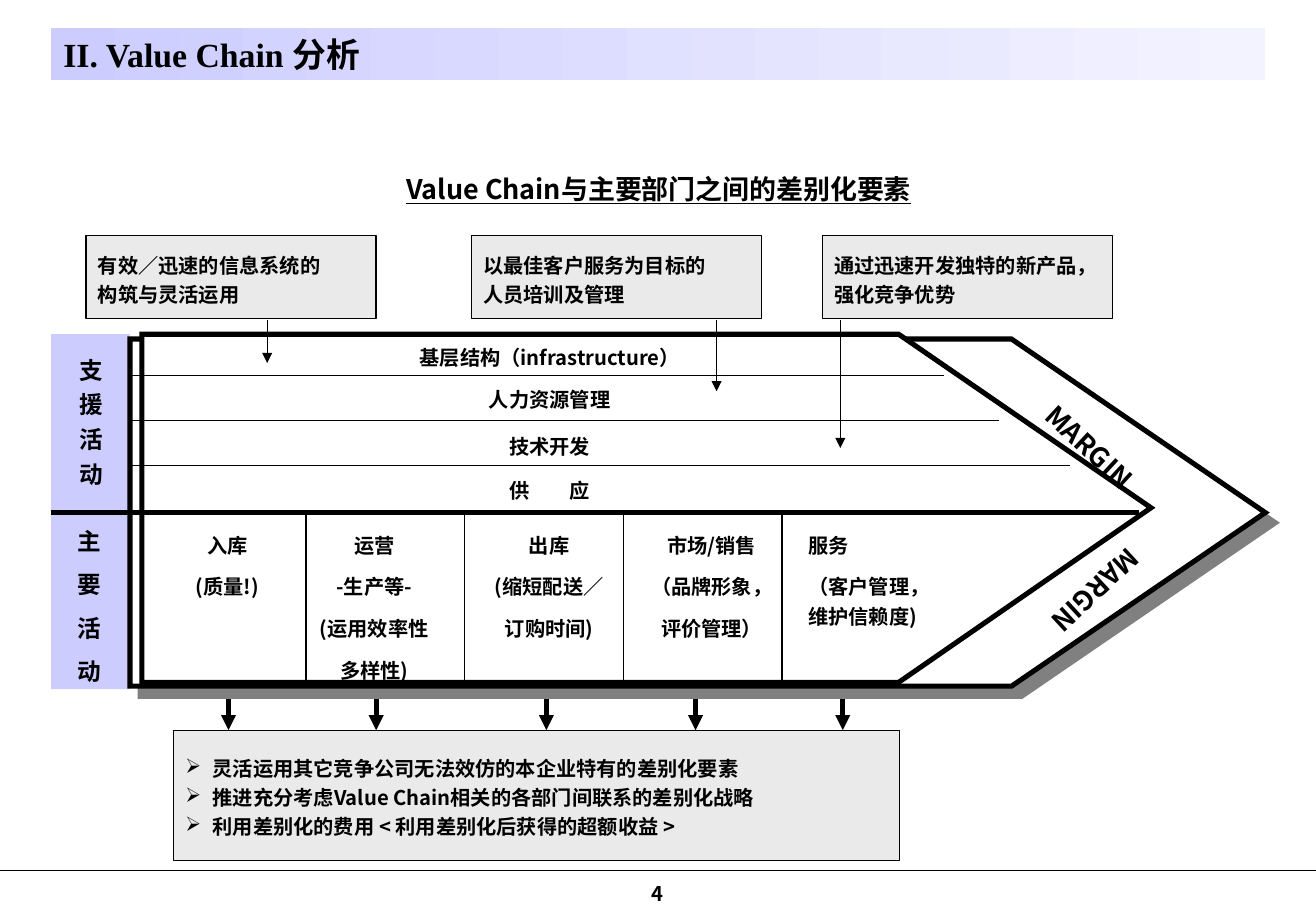
"""Build the value chain slide with its support and primary activities."""
from lxml import etree
from pptx import Presentation
from pptx.dml.color import RGBColor
from pptx.enum import shapes, text
from pptx.oxml.ns import qn
from pptx.util import Cm, Pt

BLACK = RGBColor(0, 0, 0)
WHITE = RGBColor(255, 255, 255)
GREY = RGBColor(0xEA, 0xEA, 0xEA)
LILAC = RGBColor(0xCC, 0xCC, 0xFF)
PALE = RGBColor(0xF3, 0xF3, 0xFF)
SANS = "Noto Sans CJK KR"
LEFT, MID = text.PP_ALIGN.LEFT, text.PP_ALIGN.CENTER
TOP, CENTER = text.MSO_ANCHOR.TOP, text.MSO_ANCHOR.MIDDLE

TITLE = "II. Value Chain 分析"
HEADING = "Value Chain与主要部门之间的差别化要素"
CALLS = [
    (1.8, ["有效／迅速的信息系统的", "构筑与灵活运用"], 5.59, 7.59),
    (9.86, ["以最佳客户服务为目标的", "人员培训及管理"], 14.99, 8.18),
    (17.2, ["通过迅速开发独特的新产品，", "强化竞争优势"], 17.58, 9.37),
]
ROWS = [
    ("基层结构（infrastructure）", 6.99),
    ("人力资源管理", 7.87),
    ("技术开发", 8.86),
    ("供　　应", 9.78),
]
ENDS = [19.74, 20.9, 22.38]
COLS = [
    (3.1, MID, ["入库", "(质量!)"]),
    (6.17, MID, ["运营", "-生产等-", "(运用效率性", "多样性)"]),
    (9.83, MID, ["出库", "(缩短配送／", "订购时间)"]),
    (13.23, MID, ["市场/销售", "（品牌形象，", "评价管理）"]),
    (16.66, LEFT, ["服务", "（客户管理， 维护信赖度)"]),
]
SIDES = [
    ("支援活动", (0.43, 7.47, 2.97, 2.84), 0.7),
    ("主要活动", (0.38, 10.9, 2.97, 3.56), 1.0),
]
MARGINS = [(19.48, 8.76, 43), (19.61, 11.86, 137.3)]
DROPS = [4.78, 7.87, 11.43, 14.55, 17.63]
RESULTS = [
    "灵活运用其它竞争公司无法效仿的本企业特有的差别化要素",
    "推进充分考虑Value Chain相关的各部门间联系的差别化战略",
    "利用差别化的费用 < 利用差别化后获得的超额收益 >",
]
OUTER = (2.72, 21.16, 26.47), (7.09, 10.72, 14.35)
INNER = (2.97, 18.8, 24.08), (6.99, 10.62, 14.27)


def add(node, tag, **attrs):
    return etree.SubElement(node, qn(tag), attrs)


def write(shape, lines, size=12, align=MID, gap=1.2, before=0,
          font=SANS, anchor=TOP, wrap=True):
    frame = shape.text_frame
    frame.auto_size = text.MSO_AUTO_SIZE.NONE
    frame.word_wrap = wrap
    frame.vertical_anchor = anchor
    for i, line in enumerate(lines):
        para = frame.add_paragraph() if i else frame.paragraphs[0]
        para.text = line
        para.alignment = align
        para.line_spacing = gap
        para.space_before = Pt(before)
        face = para.font
        face.name, face.size, face.bold = font, Pt(size), True
        face.color.rgb = BLACK
        add(para._p.pPr.find(qn("a:defRPr")), "a:ea", typeface=SANS)
    return frame.paragraphs


def label(slide, place, lines, **style):
    box = slide.shapes.add_textbox(*map(Cm, place))
    return box, write(box, lines, **style)


def paint(shape, fill, width=0):
    shape.shadow.inherit = False
    shape.fill.solid()
    shape.fill.fore_color.rgb = fill
    if width:
        shape.line.color.rgb = BLACK
        shape.line.width = Pt(width)
    else:
        shape.line.fill.background()


def block(slide, place, fill, width=0):
    box = slide.shapes.add_shape(shapes.MSO_SHAPE.RECTANGLE, *map(Cm, place))
    paint(box, fill, width)
    return box


def rule(slide, x1, y1, x2, y2, width=0.75, arrow=False):
    line = slide.shapes.add_connector(
        shapes.MSO_CONNECTOR.STRAIGHT, *map(Cm, (x1, y1, x2, y2)))
    line.line.color.rgb = BLACK
    line.line.width = Pt(width)
    props = line._element.spPr
    if arrow:
        add(props.find(qn("a:ln")), "a:tailEnd", type="triangle")
    add(props, "a:effectLst")


def chevron(slide, xs, ys):
    (back, neck, tip), (top, mid, low) = xs, ys
    pen = slide.shapes.build_freeform(Cm(back), Cm(top))
    spots = [(neck, top), (tip, mid), (neck, low), (back, low)]
    pen.add_line_segments([(Cm(x), Cm(y)) for x, y in spots], close=True)
    shape = pen.convert_to_shape()
    paint(shape, WHITE, 3)
    add(shape._element.spPr.find(qn("a:ln")), "a:miter", lim="800000")
    return shape


def cast(shape):
    effects = shape._element.spPr.find(qn("a:effectLst"))
    shade = add(effects, "a:outerShdw", dist=str(Pt(8.5)), dir="2700000",
                algn="ctr", rotWithShape="0")
    add(shade, "a:srgbClr", val="808080")


def banner(slide):
    title = slide.shapes.title
    title.left, title.top, title.width, title.height = map(
        Cm, (1.07, 0.58, 25.4, 1.09))
    title.fill.gradient()
    title.fill.gradient_angle = 0
    for stop, color in zip(title.fill.gradient_stops, (LILAC, PALE)):
        stop.color.rgb = color
    write(title, [TITLE], size=20, align=LEFT, gap=1.0,
          font="Times New Roman")


def chain(slide):
    block(slide, (1.07, 6.99, 1.65, 7.42), LILAC)
    for x in DROPS:
        rule(slide, x, 14.05, x, 15.27, 3, True)
    cast(chevron(slide, *OUTER))
    chevron(slide, *INNER)
    rule(slide, 1.07, 10.71, 23.83, 10.71, 3)
    for i, end in enumerate(ENDS):
        y = 7.85 + 0.94 * i
        rule(slide, 2.72, y, end, y)
    for i in range(4):
        x = 6.4 + 3.32 * i
        rule(slide, x, 10.76, x, 14.35)
    for name, y in ROWS:
        label(slide, (4.06, y, 14.88, 0.86), [name], before=7.5)
    for x, y, turn in MARGINS:
        box, _ = label(slide, (x, y, 6.71, 1.07), ["MARGIN"],
                       size=16, before=10)
        box.rotation = turn
    for x, align, lines in COLS:
        label(slide, (x, 10.92, 3.32, 3.4), lines, align=align, before=7.5)
    for name, place, gap in SIDES:
        label(slide, place, name, size=14, gap=gap, before=8.8, font="Arial")


def notes(slide):
    for x, lines, drop, end in CALLS:
        box = block(slide, (x, 4.93, 6.07, 1.73), GREY, 0.75)
        write(box, lines, align=LEFT, anchor=CENTER, wrap=False)
        rule(slide, drop, 6.7, drop, end, arrow=True)
    box = block(slide, (3.63, 15.27, 15.19, 2.72), GREY, 0.75)
    for para in write(box, RESULTS, align=LEFT, anchor=CENTER, wrap=False):
        props = para._p.pPr
        props.set("marL", str(Cm(0.57)))
        props.set("indent", str(Cm(-0.57)))
        mark = etree.Element(qn("a:buChar"), char="➢")
        props.find(qn("a:defRPr")).addprevious(mark)


def main():
    deck = Presentation()
    deck.slide_width, deck.slide_height = Cm(27.53), Cm(19.05)
    slide = deck.slides.add_slide(deck.slide_layouts[5])
    banner(slide)
    _, paras = label(slide, (8.13, 3.35, 11.3, 1.07), [HEADING],
                     size=16, wrap=False)
    paras[0].font.underline = True
    chain(slide)
    notes(slide)
    rule(slide, 0, 18.21, 27.53, 18.21)
    label(slide, (13.18, 18.42, 1.14, 0.64), ["4"], gap=1.0,
          anchor=text.MSO_ANCHOR.BOTTOM)
    deck.save("out.pptx")


if __name__ == "__main__":
    main()
